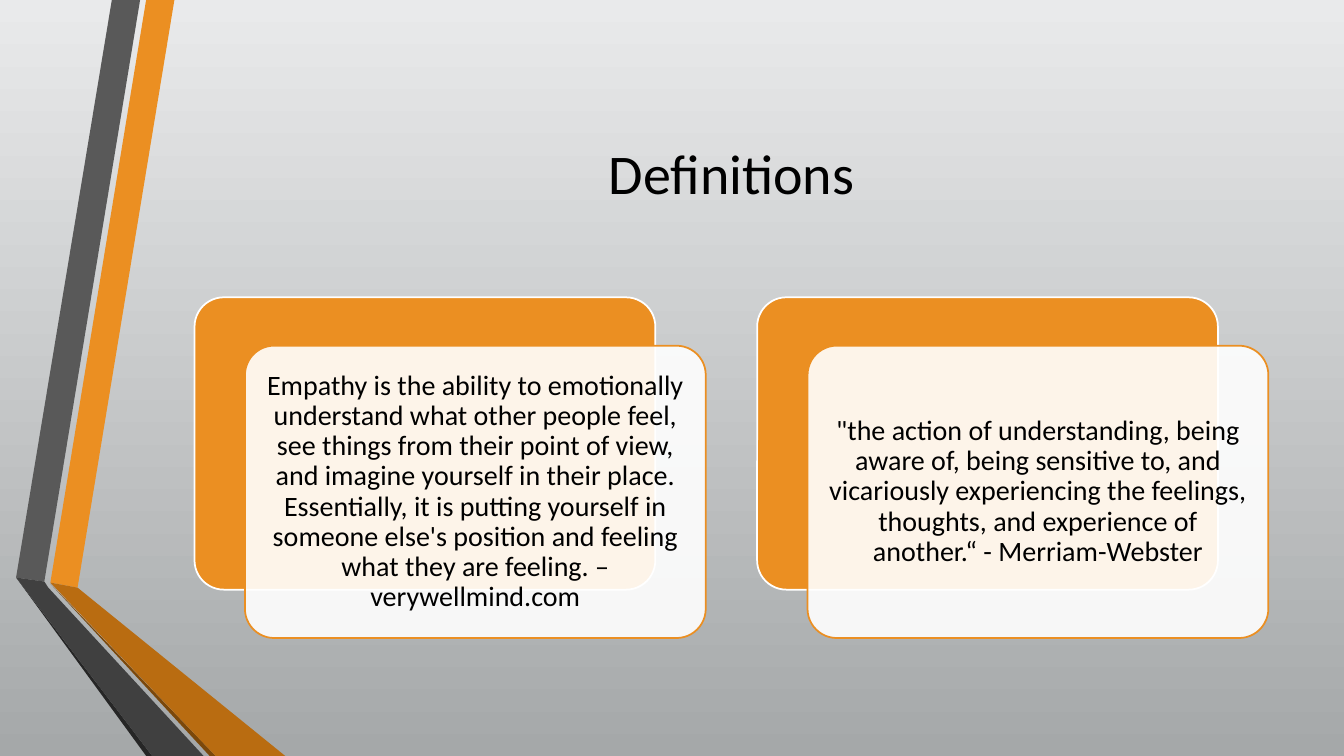
import pptx
import pptx.dml.color
import pptx.enum.shapes
import pptx.enum.text
import pptx.oxml.ns
import pptx.util
from lxml import etree

Inches = pptx.util.Inches

TITLE = "Definitions"
DEFINITIONS = [
    "Empathy is the ability to emotionally understand what other people feel, "
    "see things from their point of view, and imagine yourself in their place. "
    "Essentially, it is putting yourself in someone else's position and feeling "
    "what they are feeling. – verywellmind.com",
    '"the action of understanding, being aware of, being sensitive to, and '
    "vicariously experiencing the feelings, thoughts, and experience of "
    "another.“ - Merriam-Webster",
]

THEME = {
    "font": "Calibri",
    "title_size": 40,
    "body_size": 20,
    "text": "000000",
    "accent": "EB8F22",
    "white": "FFFFFF",
    "panel_opacity": 90,
    "outline": 1.25,
    "background": ("E9EAEB", "A5A8A9"),
}

# Folded ribbons at the left edge, back to front: colour and corner points
RIBBONS = [
    ("EB8F22", [(0.5, 5.78), (0.77, 5.83), (1.73, 0), (1.45, 0)]),
    ("595959", [(1.39, 0), (1.11, 0), (0.16, 5.73), (0.44, 5.77)]),
    ("262626", [(0.16, 5.73), (1.45, 7.5), (1.51, 7.5)]),
    ("7B480B", [(0.5, 5.79), (2.08, 7.5), (2.14, 7.5)]),
    ("B96C11", [(0.5, 5.78), (2.14, 7.5), (2.83, 7.5), (0.77, 5.83)]),
    ("404040", [(2.02, 7.5), (0.48, 5.83), (0.44, 5.77), (0.16, 5.73), (1.51, 7.5)]),
]

TITLE_BOX = (1.93, 0.75, 10.65, 1.92)
CARD_LEFT, CARD_TOP = 1.93, 2.95
CARD_WIDTH, CARD_HEIGHT = 4.57, 2.9
CARD_PITCH = 5.58
PANEL_SHIFT = (0.5, 0.48)
CORNER = 0.1
PANEL_INSET = 0.08


def rgb(value):
    return pptx.dml.color.RGBColor.from_string(value)


def paint(shape, fill, line=None):
    shape.shadow.inherit = False
    shape.fill.solid()
    shape.fill.fore_color.rgb = rgb(fill)
    if line:
        shape.line.color.rgb = rgb(line)
        shape.line.width = pptx.util.Pt(THEME["outline"])
    else:
        shape.line.fill.background()


def set_opacity(shape, percent):
    color = shape._element.spPr.find(".//" + pptx.oxml.ns.qn("a:srgbClr"))
    alpha = etree.SubElement(color, pptx.oxml.ns.qn("a:alpha"))
    alpha.set("val", str(percent * 1000))


def write_centred(shape, text, size, inset, spacing=1.0):
    frame = shape.text_frame
    frame_format = {
        "word_wrap": True,
        "vertical_anchor": pptx.enum.text.MSO_ANCHOR.MIDDLE,
    }
    for side in ("left", "right", "top", "bottom"):
        frame_format["margin_" + side] = Inches(inset)
    for name, value in frame_format.items():
        setattr(frame, name, value)
    paragraph = frame.paragraphs[0]
    paragraph.text = text
    paragraph.alignment = pptx.enum.text.PP_ALIGN.CENTER
    paragraph.line_spacing = spacing
    font_format = {"name": THEME["font"], "size": pptx.util.Pt(size)}
    for name, value in font_format.items():
        setattr(paragraph.runs[0].font, name, value)
    paragraph.runs[0].font.color.rgb = rgb(THEME["text"])


def add_background(slide):
    fill = slide.background.fill
    fill.gradient()
    fill.gradient_angle = 270
    for stop, color, position in zip(fill.gradient_stops, THEME["background"], (0, 1)):
        stop.color.rgb = rgb(color)
        stop.position = position


def add_ribbon(slide, color, points):
    corners = [(Inches(x), Inches(y)) for x, y in points]
    builder = slide.shapes.build_freeform(*corners[0])
    builder.add_line_segments(corners[1:], close=True)
    paint(builder.convert_to_shape(), color)


def add_round_box(slide, left, top, fill, line):
    box = slide.shapes.add_shape(
        pptx.enum.shapes.MSO_SHAPE.ROUNDED_RECTANGLE,
        Inches(left), Inches(top), Inches(CARD_WIDTH), Inches(CARD_HEIGHT),
    )
    box.adjustments[0] = CORNER
    paint(box, fill, line)
    return box


def add_definition(slide, index, text):
    left = CARD_LEFT + index * CARD_PITCH
    add_round_box(slide, left, CARD_TOP, THEME["accent"], THEME["white"])
    panel = add_round_box(
        slide, left + PANEL_SHIFT[0], CARD_TOP + PANEL_SHIFT[1],
        THEME["white"], THEME["accent"],
    )
    set_opacity(panel, THEME["panel_opacity"])
    write_centred(panel, text, THEME["body_size"], PANEL_INSET, spacing=0.9)


def main():
    presentation = pptx.Presentation()
    presentation.slide_width = Inches(13.33)
    presentation.slide_height = Inches(7.5)
    slide = presentation.slides.add_slide(presentation.slide_layouts[6])
    add_background(slide)
    for color, points in RIBBONS:
        add_ribbon(slide, color, points)
    title = slide.shapes.add_textbox(*map(Inches, TITLE_BOX))
    write_centred(title, TITLE, THEME["title_size"], inset=0.1)
    for index, text in enumerate(DEFINITIONS):
        add_definition(slide, index, text)
    presentation.save("out.pptx")


if __name__ == "__main__":
    main()
